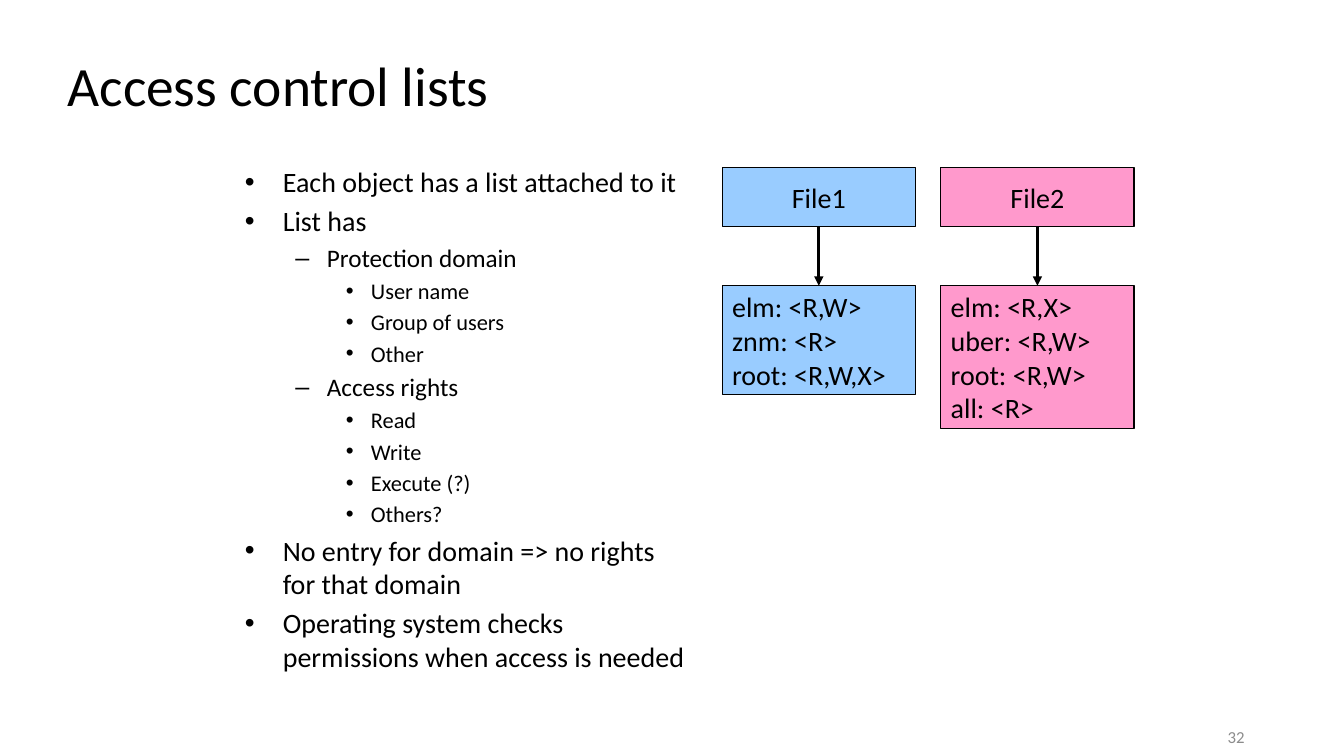
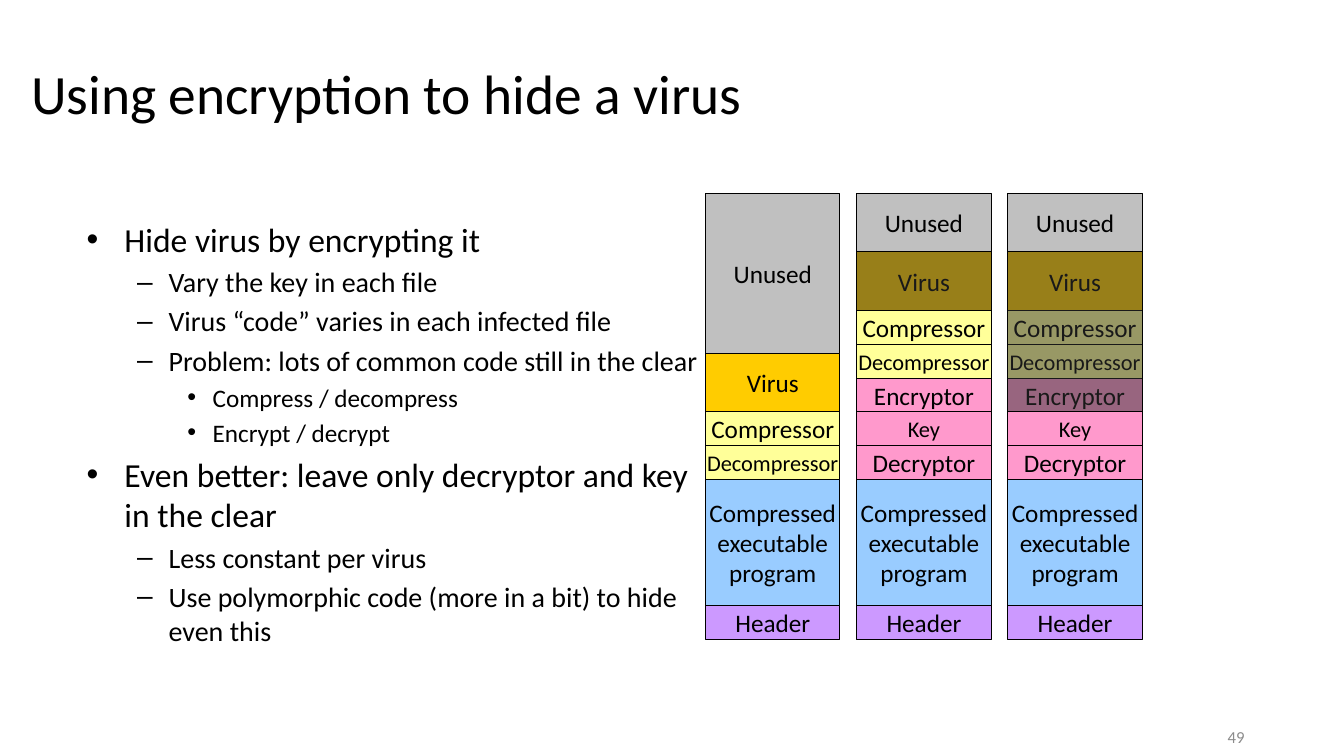
from pptx import Presentation
from pptx.dml.color import RGBColor
from pptx.enum.shapes import MSO_CONNECTOR, MSO_SHAPE
from pptx.enum.text import MSO_ANCHOR, MSO_AUTO_SIZE, PP_ALIGN
from pptx.oxml.ns import qn
from pptx.util import Cm, Pt
from lxml.etree import SubElement

FONT = "Calibri"
BLACK = RGBColor(0x00, 0x00, 0x00)
NUMBER_GRAY = RGBColor(0x8C, 0x8C, 0x8C)
BLUE = RGBColor(0x99, 0xCC, 0xFF)
PINK = RGBColor(0xFF, 0x99, 0xCC)
PURPLE = RGBColor(0xCC, 0x99, 0xFF)
YELLOW = RGBColor(0xFF, 0xFF, 0x99)
GOLD = RGBColor(0xFF, 0xCC, 0x00)
SILVER = RGBColor(0xC0, 0xC0, 0xC0)
VEIL = RGBColor(0x33, 0x33, 0x33)

presentation = Presentation()
presentation.slide_width = Cm(33.87)
presentation.slide_height = Cm(19.05)


def add_content_slide(title, title_at, items, body_at, level_sizes, anchor, number):
    """Add a slide with a title, a bulleted list and its slide number."""
    slide = presentation.slides.add_slide(presentation.slide_layouts[1])
    heading, body = slide.placeholders
    number_box = slide.shapes.add_textbox(0, 0, 0, 0)
    number_at = (30.2, 18.21, 1.42, 0.69)
    for shape, place in ((heading, title_at), (body, body_at), (number_box, number_at)):
        shape.left, shape.top, shape.width, shape.height = map(Cm, place)
        shape.text_frame.word_wrap = True
        shape.text_frame.auto_size = MSO_AUTO_SIZE.NONE
        shape.text_frame.vertical_anchor = MSO_ANCHOR.MIDDLE
    body.text_frame.vertical_anchor = anchor

    heading.text_frame.text = title
    number_box.text_frame.text = str(number)
    body.text_frame.text = "\n".join(text for level, text in items)
    for shape, size, color, alignment in (
        (heading, 39.6, BLACK, PP_ALIGN.LEFT),
        (number_box, 12, NUMBER_GRAY, PP_ALIGN.RIGHT),
    ):
        paragraph = shape.text_frame.paragraphs[0]
        paragraph.alignment = alignment
        paragraph.font.name = FONT
        paragraph.font.size = Pt(size)
        paragraph.font.color.rgb = color
    for paragraph, (level, text) in zip(body.text_frame.paragraphs, items):
        paragraph.level = level
        paragraph.font.name = FONT
        paragraph.font.size = Pt(level_sizes[level])
        paragraph.font.color.rgb = BLACK
    return slide


def add_box(slide, place, fill, text="", size=18, alignment=PP_ALIGN.CENTER):
    """Add a thinly outlined rectangle with unwrapped text."""
    box = slide.shapes.add_shape(MSO_SHAPE.RECTANGLE, *map(Cm, place))
    box.shadow.inherit = False
    box.fill.solid()
    box.fill.fore_color.rgb = fill
    box.line.color.rgb = BLACK
    box.line.width = Pt(0.75)
    if text:
        box.text_frame.word_wrap = False
        box.text_frame.text = text
        for paragraph in box.text_frame.paragraphs:
            paragraph.alignment = alignment
            paragraph.font.name = FONT
            paragraph.font.size = Pt(size)
            paragraph.font.color.rgb = BLACK
    return box


# Slide 1: access control lists
slide = add_content_slide(
    "Access control lists",
    (1.45, 1.27, 28.78, 1.7),
    [
        (0, "Each object has a list attached to it"),
        (0, "List has"),
        (1, "Protection domain"),
        (2, "User name"),
        (2, "Group of users"),
        (2, "Other"),
        (1, "Access rights"),
        (2, "Read"),
        (2, "Write"),
        (2, "Execute (?)"),
        (2, "Others?"),
        (0, "No entry for domain => no rights for that domain"),
        (0, "Operating system checks permissions when access is needed"),
    ],
    (5.92, 4.02, 11.68, 13.77),
    (20, 18, 16),
    MSO_ANCHOR.TOP,
    32,
)

# Each file points to its list
files = [
    ("File1", 18.2, BLUE, 2.75, "elm: <R,W>\nznm: <R>\nroot: <R,W,X>"),
    ("File2", 23.71, PINK, 3.6, "elm: <R,X>\nuber: <R,W>\nroot: <R,W>\nall: <R>"),
]
for name, left, color, list_height, entries in files:
    file_box = add_box(slide, (left, 4.23, 4.87, 1.48), color, name, 20)
    list_box = add_box(
        slide, (left, 7.2, 4.87, list_height), color, entries, 20, PP_ALIGN.LEFT
    )
    arrow = slide.shapes.add_connector(MSO_CONNECTOR.STRAIGHT, 0, 0, 0, 0)
    arrow.begin_connect(file_box, 2)
    arrow.end_connect(list_box, 0)
    arrow.line.color.rgb = BLACK
    arrow.line.width = Pt(2.25)
    SubElement(arrow.line._get_or_add_ln(), qn("a:tailEnd"), type="triangle")
    SubElement(arrow._element.spPr, qn("a:effectLst"))

# Slide 2: hiding a virus by encryption
slide = add_content_slide(
    "Using encryption to hide a virus",
    (0.53, 1.48, 28.78, 1.7),
    [
        (0, "Hide virus by encrypting it"),
        (1, "Vary the key in each file"),
        (1, "Virus “code” varies in each infected file"),
        (1, "Problem: lots of common code still in the clear"),
        (2, "Compress / decompress"),
        (2, "Encrypt / decrypt"),
        (0, "Even better: leave only decryptor and key in the clear"),
        (1, "Less constant per virus"),
        (1, "Use polymorphic code (more in a bit) to hide even this"),
    ],
    (1.93, 4.02, 15.93, 13.77),
    (24, 20, 18),
    MSO_ANCHOR.MIDDLE,
    49,
)

# File layouts as stacks of parts: text, fill, height, text size
virus = ("Virus", GOLD, 1.48, 18)
compression = [
    ("Compressor", YELLOW, 0.85, 18),
    ("Decompressor", YELLOW, 0.85, 16),
]
encryption = [
    ("Encryptor", PINK, 0.85, 18),
    ("Key", PINK, 0.85, 16),
    ("Decryptor", PINK, 0.85, 18),
]
program = [
    ("Compressed\nexecutable\nprogram", BLUE, 3.18, 18),
    ("Header", PURPLE, 0.85, 18),
]
plain_stack = [("Unused", SILVER, 4.03, 18), virus, *compression, *program]
encrypted_stack = [
    ("Unused", SILVER, 1.48, 18), virus, *compression, *encryption, *program
]

# Each stack with the number of parts its veil covers, from the virus down
STACK_LEFT, STACK_TOP, STACK_WIDTH, STACK_PITCH = 17.78, 4.87, 3.39, 3.81
stacks = [(plain_stack, 0), (encrypted_stack, 1), (encrypted_stack, 4)]
for column, (parts, veiled_count) in enumerate(stacks):
    left = STACK_LEFT + column * STACK_PITCH
    top = STACK_TOP
    for text, color, height, size in parts:
        add_box(slide, (left, top, STACK_WIDTH, height), color, text, size)
        top += height
    if veiled_count:
        veil_top = STACK_TOP + parts[0][2]
        veil_height = sum(part[2] for part in parts[1:1 + veiled_count])
        veil = add_box(slide, (left, veil_top, STACK_WIDTH, veil_height), VEIL)
        veil_color = veil._element.spPr.find(qn("a:solidFill"))[0]
        SubElement(veil_color, qn("a:alpha"), val="50000")

presentation.save("out.pptx")
